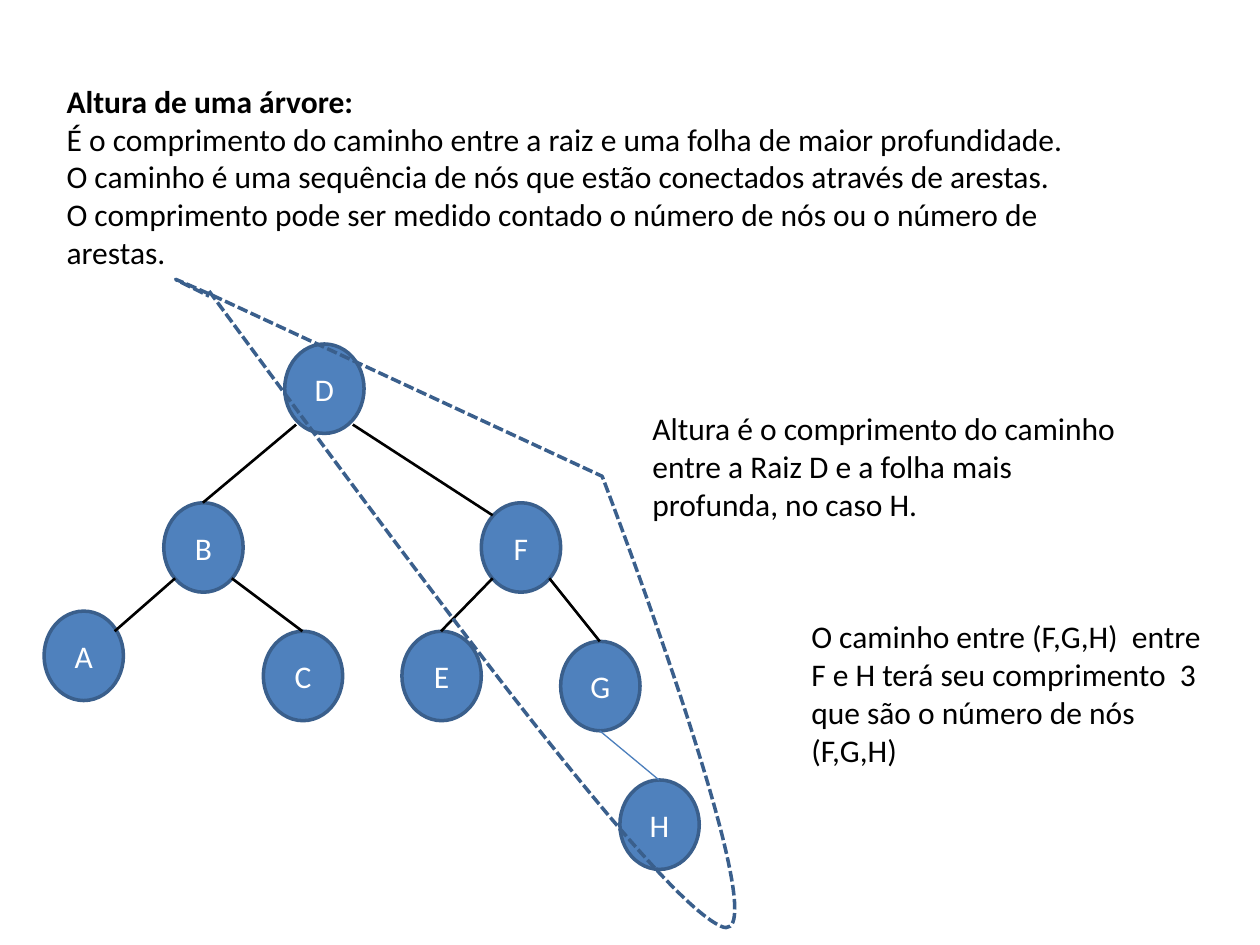
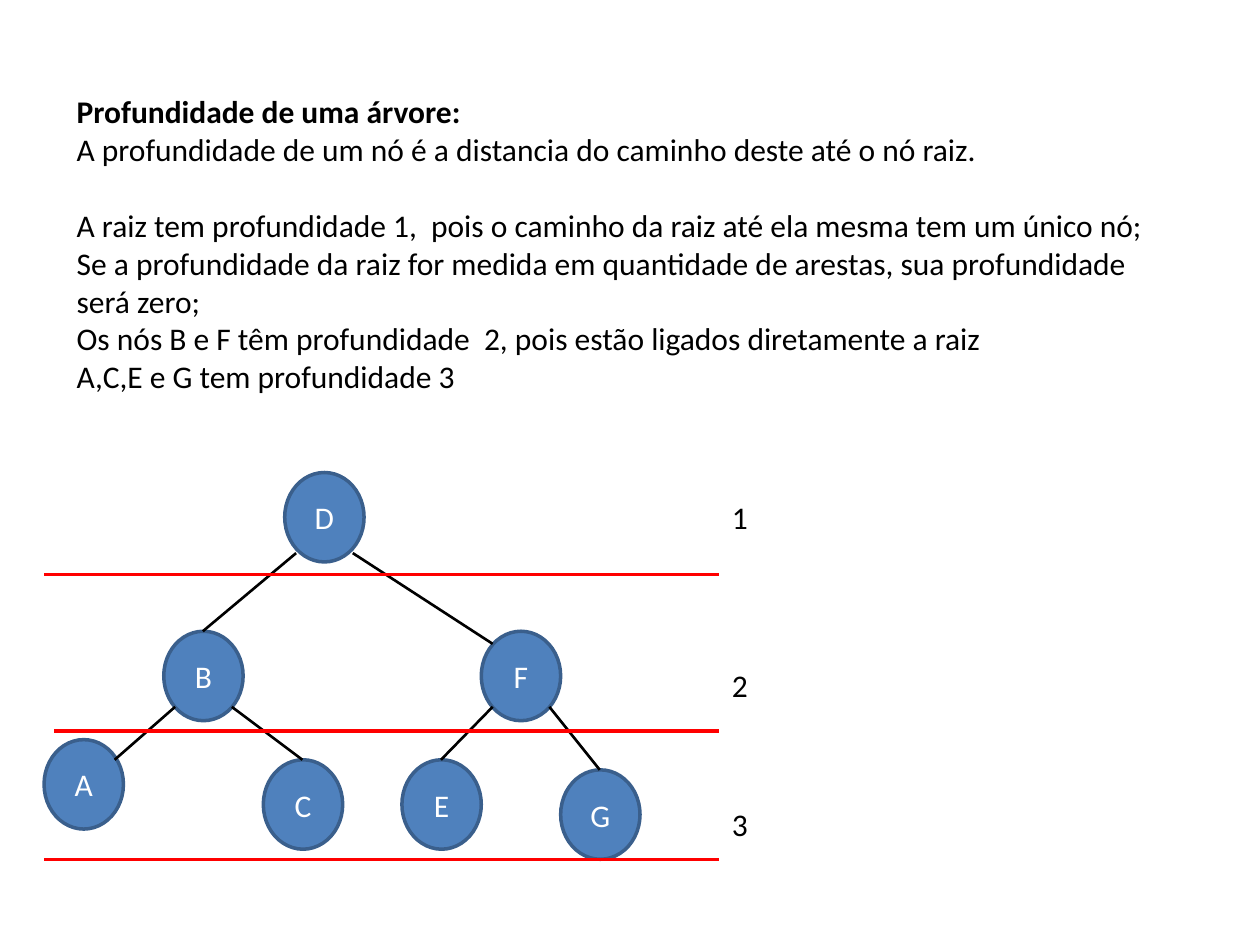
from pptx import Presentation
from pptx.dml.color import RGBColor
from pptx.enum.dml import MSO_LINE
from pptx.enum.shapes import MSO_CONNECTOR, MSO_SHAPE
from pptx.enum.text import MSO_ANCHOR, MSO_AUTO_SIZE, PP_ALIGN
from pptx.oxml.ns import qn
from pptx.util import Pt
from lxml.etree import SubElement

SCALE = 9144  # EMU per px, 100 px to the inch
COLORS = {
    "text": "000000",
    "node": "4F81BD",
    "node_line": "3A5F8C",
    "node_text": "FFFFFF",
    "extra_edge": "4B7EBC",
    "level": "FF0000",
}
NODE_WIDTH, NODE_HEIGHT = 63, 71

# Top left corner of each node, as on the first slide
NODES = {
    "A": (35, 485), "B": (130, 399), "C": (209, 501), "D": (226, 273),
    "F": (382, 399), "G": (445, 509), "E": (319, 501),
}
DEEP_NODE = {"H": (492, 619)}

# Points on a node where edges meet it, from its top left corner
ANCHORS = {
    "top": (31, 0), "bottom": (31, NODE_HEIGHT),
    "lower left": (9, 60), "lower right": (54, 60),
    "below left": (9, 64), "below right": (54, 64),
    "upper left": (9, 10), "upper right": (56, 16),
}
EDGES = [
    ("B", "top", "D", "below left"),
    ("A", "upper right", "B", "lower left"),
    ("C", "top", "B", "lower right"),
    ("F", "upper left", "D", "below right"),
    ("E", "top", "F", "lower left"),
    ("G", "top", "F", "lower right"),
]
DEEP_EDGE = [("G", "bottom", "H", "top")]

# Loop around the longest path: C is a curve of three points, L a line of one
LOOP_START = (166, 231)
LOOP = [
    ("C", [(343, 471), (520, 711), (572, 735)]),
    ("C", [(624, 760), (478, 378), (478, 378)]),
    ("L", [(170, 235)]),
    ("C", [(118, 212), (142, 223), (166, 235)]),
]


def rgb(name):
    return RGBColor.from_string(COLORS[name])


class Deck:
    """Holds the style, the presentation and the current slide."""

    font = "Calibri"
    size = Pt(18)

    def __init__(self, width, height):
        self.presentation = Presentation()
        self.presentation.slide_width = width * SCALE
        self.presentation.slide_height = height * SCALE
        self.slide = None

    def add_slide(self):
        blank = self.presentation.slide_layouts[6]
        self.slide = self.presentation.slides.add_slide(blank)

    def format_runs(self, paragraph, color, bold=False):
        for run in paragraph.runs:
            run.font.name = self.font
            run.font.size = self.size
            run.font.bold = bold
            run.font.color.rgb = rgb(color)

    def text(self, left, top, width, height, lines, titled=False):
        box = self.slide.shapes.add_textbox(
            *(value * SCALE for value in (left, top, width, height)))
        frame = box.text_frame
        frame.word_wrap = True
        frame.auto_size = MSO_AUTO_SIZE.SHAPE_TO_FIT_TEXT
        frame.text = "\n".join(lines)
        for index, paragraph in enumerate(frame.paragraphs):
            self.format_runs(paragraph, "text", bold=titled and index == 0)
        return frame

    def node(self, label, left, top):
        shape = self.slide.shapes.add_shape(
            MSO_SHAPE.OVAL, left * SCALE, top * SCALE,
            NODE_WIDTH * SCALE, NODE_HEIGHT * SCALE)
        shape.shadow.inherit = False
        shape.fill.solid()
        shape.fill.fore_color.rgb = rgb("node")
        shape.line.color.rgb = rgb("node_line")
        shape.line.width = Pt(2)
        frame = shape.text_frame
        frame.text = label
        frame.vertical_anchor = MSO_ANCHOR.MIDDLE
        paragraph = frame.paragraphs[0]
        paragraph.alignment = PP_ALIGN.CENTER
        self.format_runs(paragraph, "node_text")

    def line(self, start, end, color, width):
        connector = self.slide.shapes.add_connector(
            MSO_CONNECTOR.STRAIGHT,
            *(value * SCALE for value in (*start, *end)))
        connector.line.color.rgb = rgb(color)
        connector.line.width = Pt(width)
        SubElement(connector._element.spPr, qn("a:effectLst"))

    def tree(self, nodes, edges, down=0, color="text", width=1.5):
        """Draws the nodes not yet drawn, then the edges between known nodes."""
        for label, (left, top) in nodes.items():
            self.node(label, left, top + down)
        places = NODES | nodes

        def point(label, anchor):
            left, top = places[label]
            right_by, down_by = ANCHORS[anchor]
            return left + right_by, top + down + down_by

        for first, first_anchor, second, second_anchor in edges:
            self.line(point(first, first_anchor), point(second, second_anchor),
                      color, width)

    def dashed_loop(self, start, segments):
        builder = self.slide.shapes.build_freeform(*start, scale=SCALE)
        points = [point for _, group in segments for point in group]
        builder.add_line_segments(points, close=False)
        shape = builder.convert_to_shape()
        shape.shadow.inherit = False
        shape.fill.background()
        shape.line.color.rgb = rgb("node_line")
        shape.line.width = Pt(2)
        shape.line.dash_style = MSO_LINE.SQUARE_DOT
        # Turn each run of three straight pieces into one curve
        outline = shape._element.xpath(".//a:path")[0]
        pieces = iter(outline.findall(qn("a:lnTo")))
        for kind, group in segments:
            steps = [next(pieces) for _ in group]
            if kind == "L":
                outline.append(steps[0])
                continue
            curve = SubElement(outline, qn("a:cubicBezTo"))
            for step in steps:
                curve.append(step[0])
                outline.remove(step)


def height_slide(deck):
    deck.add_slide()
    deck.text(43, 60, 819, 162, [
        "Altura de uma árvore:",
        "É o comprimento do caminho entre a raiz e uma folha de maior profundidade.",
        "O caminho é uma sequência de nós que estão conectados através de arestas.",
        "O comprimento pode ser medido contado o número de nós ou o número de arestas.",
    ], titled=True)
    deck.tree(NODES, EDGES)
    deck.tree(DEEP_NODE, DEEP_EDGE, color="extra_edge", width=0.75)
    deck.dashed_loop(LOOP_START, LOOP)
    deck.text(508, 320, 394, 101, [
        "Altura é o comprimento do caminho entre a Raiz D e a folha mais "
        "profunda, no caso H."])
    deck.text(634, 485, 331, 131, [
        "O caminho entre (F,G,H)  entre F e H terá seu comprimento  3 "
        "que são o número de nós (F,G,H)"])


def depth_slide(deck):
    deck.add_slide()
    frame = deck.text(51, 68, 882, 252, [
        "Profundidade de uma árvore:",
        "A profundidade de um nó é a distancia do caminho deste até o nó raiz.",
        "A raiz tem profundidade 1,  pois o caminho da raiz até ela mesma tem um único nó;",
        "Se a profundidade da raiz for medida em quantidade de arestas, "
        "sua profundidade será zero;",
        "Os nós B e F têm profundidade  2, pois estão ligados diretamente a raiz",
        "A,C,E e G tem profundidade 3",
    ], titled=True)
    frame.paragraphs[2].space_before = Pt(22)
    deck.tree(NODES, EDGES, down=102)
    # Depth levels: line start, line height, label top
    levels = [(35, 456, 390), (43, 580, 524), (35, 682, 634)]
    for depth, (left, bottom, label_top) in enumerate(levels, start=1):
        deck.line((left, bottom), (571, bottom), "level", 2)
        deck.text(571, label_top, 213, 40, [str(depth)])


def main():
    deck = Deck(1000, 750)
    height_slide(deck)
    depth_slide(deck)
    deck.presentation.save("out.pptx")


if __name__ == "__main__":
    main()
